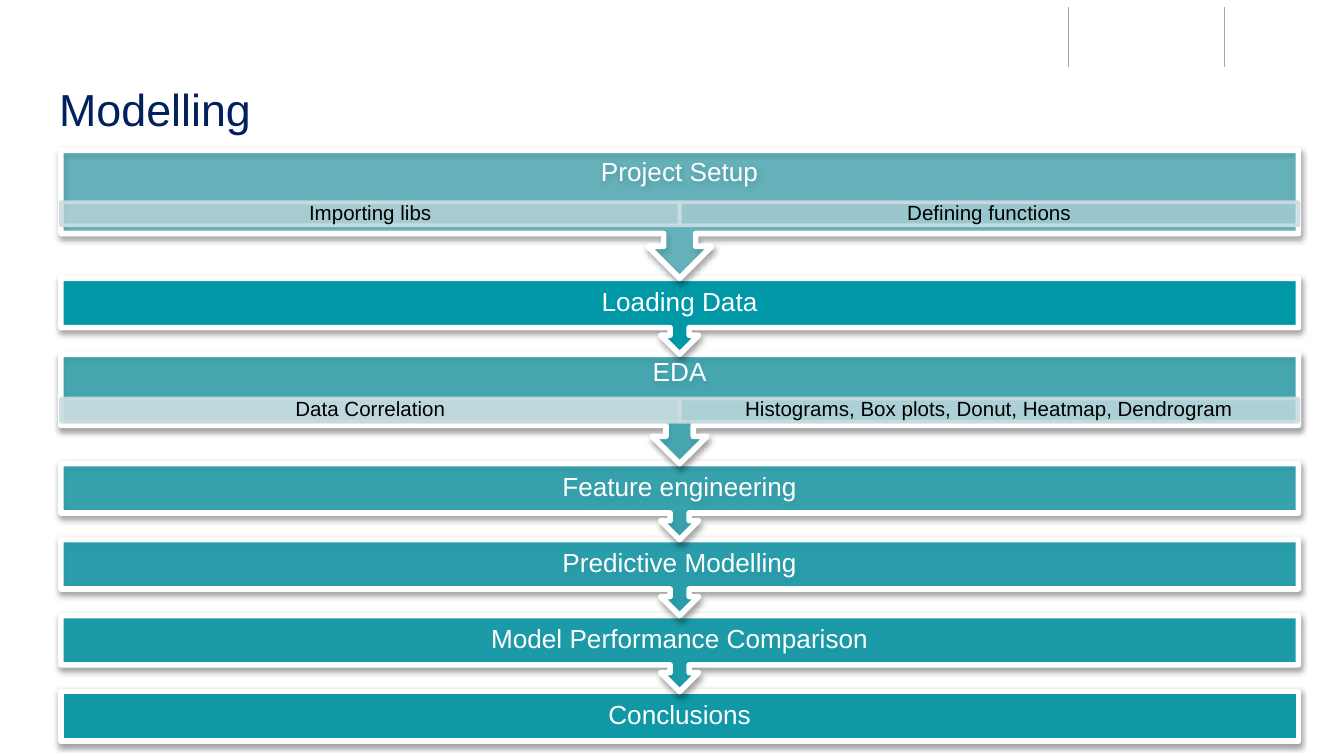
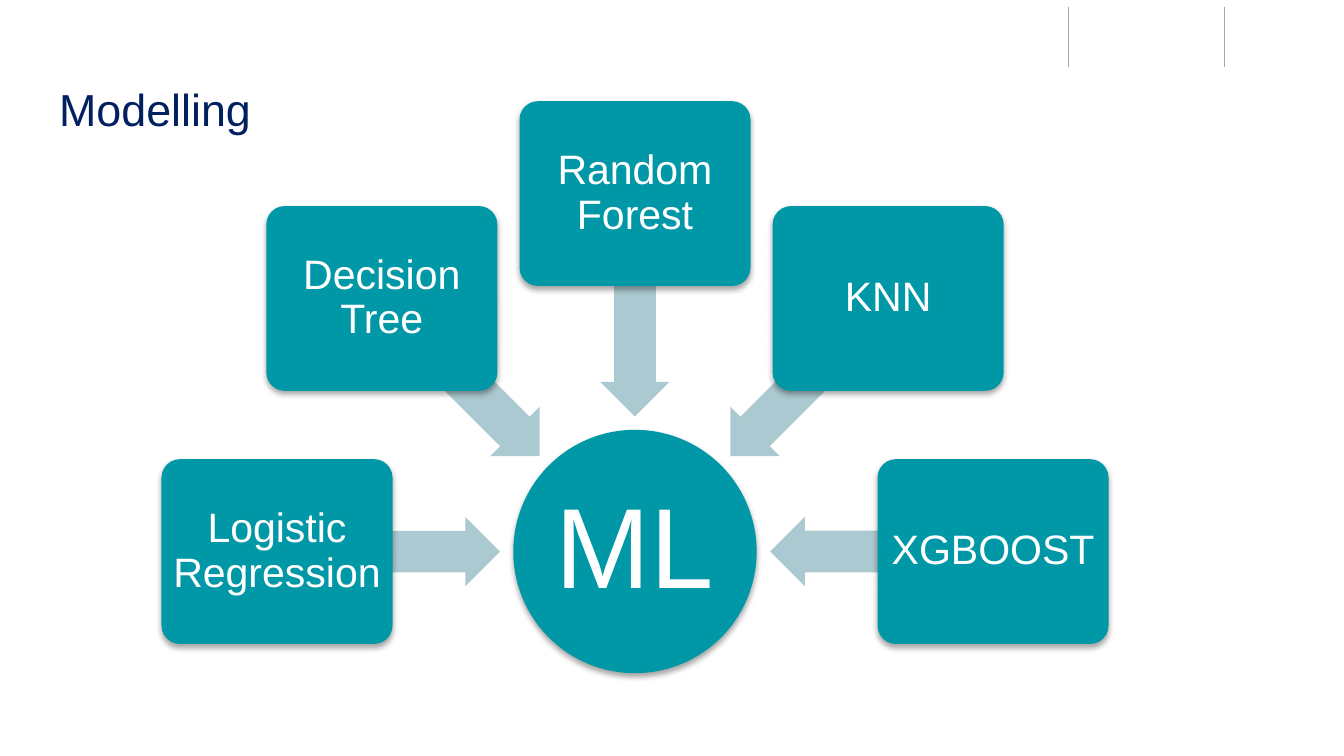
from dataclasses import dataclass
from math import cos, radians, sin
from typing import Optional

from lxml import etree
from pptx import Presentation
from pptx.dml.color import RGBColor
from pptx.enum import shapes as es, text as et
from pptx.oxml import ns
from pptx.util import Pt

# Shared look
FONT = "Arial"
TEAL, PALE, MIST = "0097A7", "CCDDE1", "ABC9D0"
WHITE, BLACK, NAVY, GREY = "FFFFFF", "000000", "002060", "A6A6A6"
SHAPE = es.MSO_SHAPE


@dataclass(frozen=True)
class Box:
    left: float
    top: float
    width: float
    height: float

    def points(self) -> tuple:
        return Pt(self.left), Pt(self.top), Pt(self.width), Pt(self.height)


@dataclass(frozen=True)
class Line:
    color: str
    width: float
    alpha: int = 100


@dataclass(frozen=True)
class Cell:
    label: str
    alpha: int


@dataclass(frozen=True)
class Stage:
    label: str
    height: float
    alpha: int
    cells: tuple = ()


@dataclass(frozen=True)
class Model:
    label: str
    angle: int


def rgb(code: str) -> RGBColor:
    return RGBColor.from_string(code)


def add_tag(parent, tag: str, **attrs):
    return etree.SubElement(parent, ns.qn(tag), {k: str(v) for k, v in attrs.items()})


def fade(part, alpha: int) -> None:
    """Set the opacity, in percent, of a solid fill or line."""
    if alpha < 100:
        color = part.find(ns.qn("a:solidFill")).find(ns.qn("a:srgbClr"))
        add_tag(color, "a:alpha", val=alpha * 1000)


def cast(shape, alpha: int, dist: float) -> None:
    """Give the shape a soft shadow below it."""
    effects = shape.element.spPr.find(ns.qn("a:effectLst"))
    shade = add_tag(effects, "a:outerShdw", blurRad=Pt(3.1), dist=Pt(dist),
                    dir=5400000, rotWithShape=0)
    add_tag(add_tag(shade, "a:srgbClr", val=BLACK), "a:alpha", val=alpha * 1000)


def draw(slide, kind, box: Box, fill: str, alpha: int = 100,
         line: Optional[Line] = None, adjust: tuple = ()):
    shape = slide.shapes.add_shape(kind, *box.points())
    shape.shadow.inherit = False
    shape.fill.solid()
    shape.fill.fore_color.rgb = rgb(fill)
    fade(shape.element.spPr, alpha)
    if line:
        shape.line.color.rgb = rgb(line.color)
        shape.line.width = Pt(line.width)
        fade(shape.element.spPr.find(ns.qn("a:ln")), line.alpha)
    else:
        shape.line.fill.background()
    for i, value in enumerate(adjust):
        shape.adjustments[i] = value
    return shape


def add_run(par, words: str, size: float, color: str) -> None:
    run = par.add_run()
    run.text = words
    run.font.name, run.font.size = FONT, Pt(size)
    run.font.color.rgb = rgb(color)


def label(shape, words: str, size: float, color: str = WHITE,
          side: float = 0, edge: float = 0, base: float = 0) -> None:
    """Centre text in the shape; base lifts it from the bottom."""
    frame = shape.text_frame
    frame.word_wrap = True
    frame.vertical_anchor = et.MSO_ANCHOR.MIDDLE
    frame.margin_left = frame.margin_right = Pt(side)
    frame.margin_top, frame.margin_bottom = Pt(edge), Pt(edge + base)
    par = frame.paragraphs[0]
    par.alignment = et.PP_ALIGN.CENTER
    par.line_spacing = 0.9
    par.space_after = Pt(0)
    after = par._p.pPr.find(ns.qn("a:spcAft"))
    after.clear()
    add_tag(after, "a:spcPct", val=35000)
    add_run(par, words, size, color)


def set_master(deck, layout) -> None:
    """Place the title and the two header rules for every slide."""
    title = layout.placeholders[0]
    title.left, title.top, title.width, title.height = Box(24.5, 35.3, 671, 45.4).points()
    tree = layout.slide_master.shapes.element
    slide = deck.slides[0]
    for x in (572.4, 655.9):
        rule = slide.shapes.add_connector(es.MSO_CONNECTOR.STRAIGHT,
                                          Pt(x), Pt(3.6), Pt(x), Pt(36))
        rule.line.color.rgb = rgb(GREY)
        rule.line.width = Pt(0.75)
        add_tag(rule._element.spPr, "a:effectLst")
        tree.append(rule._element)


def add_page(deck, layout, words: str):
    slide = deck.slides.add_slide(layout)
    frame = slide.shapes.title.text_frame
    frame.auto_size = et.MSO_AUTO_SIZE.NONE
    frame.vertical_anchor = et.MSO_ANCHOR.MIDDLE
    frame.margin_left = frame.margin_right = Pt(7.2)
    frame.margin_top = frame.margin_bottom = Pt(7.2)
    par = frame.paragraphs[0]
    par.alignment = et.PP_ALIGN.LEFT
    add_run(par, words, 24, NAVY)
    return slide


# Flow of stages
LEFT, TOP, WIDTH = 32.6, 80.6, 663
STEP = 40.7
STAGES = (
    Stage("Project Setup", 68.5, 50,
          (Cell("Importing libs", 63), Cell("Defining functions", 50))),
    Stage("Loading Data", STEP, 100),
    Stage("EDA", 58.6, 63,
          (Cell("Data Correlation", 90),
           Cell("Histograms, Box plots, Donut, Heatmap, Dendrogram", 77))),
    Stage("Feature engineering", STEP, 70),
    Stage("Predictive Modelling", STEP, 77),
    Stage("Model Performance Comparison", STEP, 83),
    Stage("Conclusions", 26.7, 90),
)


def draw_stage(slide, stage: Stage, top: float, last: bool) -> None:
    kind = SHAPE.RECTANGLE if last else SHAPE.DOWN_ARROW_CALLOUT
    bar = draw(slide, kind, Box(LEFT, top, WIDTH, stage.height), TEAL,
               stage.alpha, Line(WHITE, 3))
    cast(bar, 38, 1.6)
    label(bar, stage.label, 14, side=8,
          base=0.3 * stage.height if stage.cells else 0)
    for i, cell in enumerate(stage.cells):
        span = WIDTH / len(stage.cells)
        box = Box(LEFT + i * span, top + 0.405 * stage.height, span, 12.4)
        part = draw(slide, SHAPE.RECTANGLE, box, PALE, cell.alpha, Line(PALE, 2, 90))
        label(part, cell.label, 11, BLACK, side=6.5)


def draw_flow(slide) -> None:
    tops = [TOP + sum(s.height for s in STAGES[:i]) for i in range(len(STAGES))]
    for i in reversed(range(len(STAGES))):
        draw_stage(slide, STAGES[i], tops[i], i == len(STAGES) - 1)


# Models around a hub
HUB_X, HUB_Y, HUB = 340.2, 295.5, 130.4
FAR, NEAR = 191.8, 132
MODELS = tuple(
    Model(name, 180 + 45 * i) for i, name in enumerate(
        ("Logistic Regression", "Decision Tree", "Random Forest", "KNN", "XGBOOST")))


def place(angle: float, reach: float, width: float, height: float) -> Box:
    """Centre a box at a given angle and reach from the hub."""
    turn = radians(angle)
    return Box(HUB_X + reach * cos(turn) - width / 2,
               HUB_Y + reach * sin(turn) - height / 2, width, height)


def draw_hub(slide) -> None:
    hub = draw(slide, SHAPE.OVAL, place(0, 0, HUB, HUB), TEAL)
    cast(hub, 35, 1.8)
    label(hub, "ML", 61, side=3, edge=3)
    for model in MODELS:
        arrow = draw(slide, SHAPE.LEFT_ARROW, place(model.angle, NEAR, 119.3, 37.2),
                     MIST, adjust=(0.6, 0.5))
        arrow.rotation = model.angle % 360
        card = draw(slide, SHAPE.ROUNDED_RECTANGLE, place(model.angle, FAR, 123.8, 99),
                    TEAL, adjust=(0.1,))
        cast(card, 35, 1.8)
        label(card, model.label, 22, side=3.3, edge=3.3)


def main() -> None:
    deck = Presentation()
    deck.slide_width, deck.slide_height = Pt(720), Pt(405)
    layout = deck.slide_layouts[5]
    flow = add_page(deck, layout, "Modelling")
    set_master(deck, layout)
    draw_flow(flow)
    draw_hub(add_page(deck, layout, "Modelling"))
    deck.save("out.pptx")


if __name__ == "__main__":
    main()
